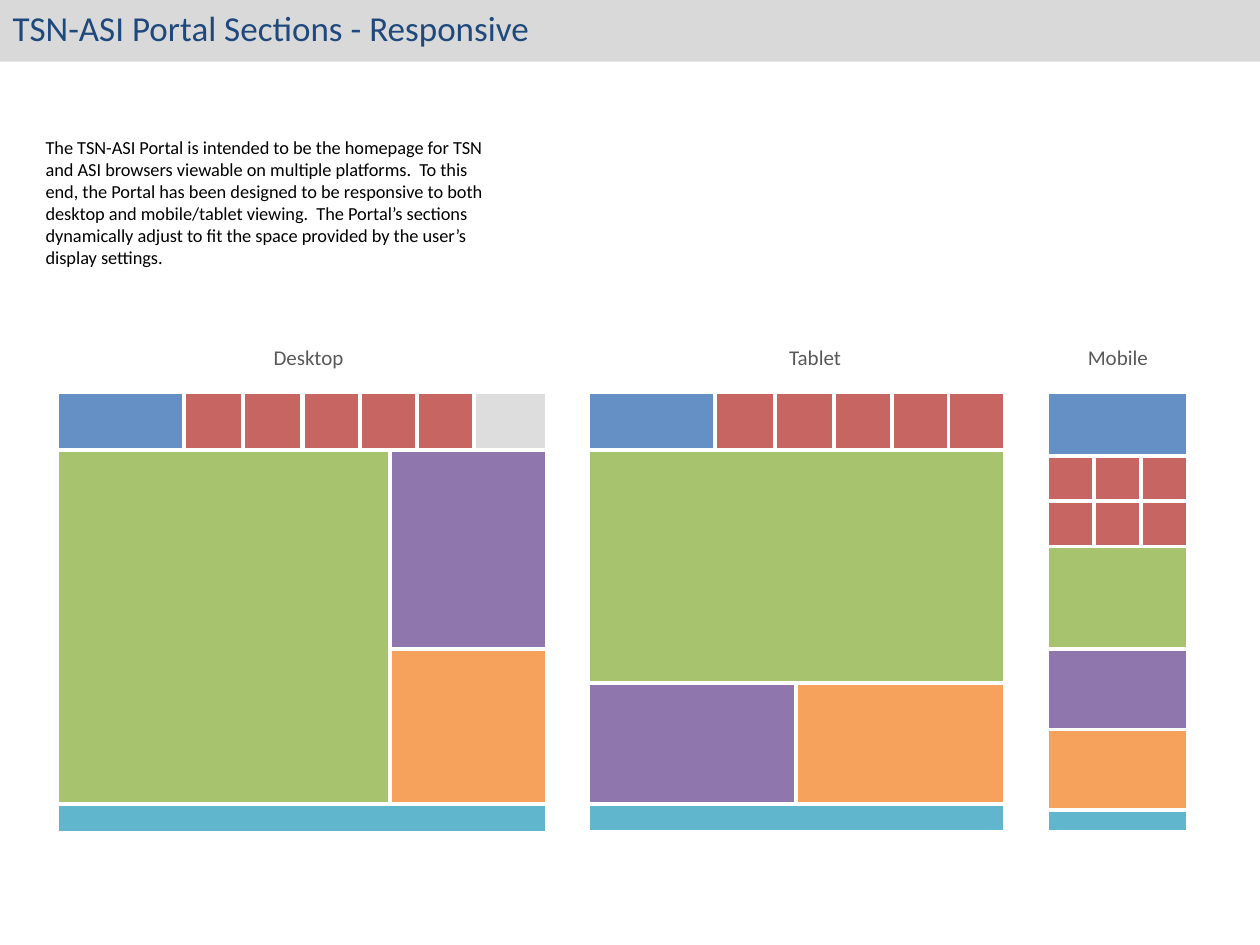
from itertools import accumulate

from lxml import etree
from pptx import Presentation
from pptx.dml.color import RGBColor
from pptx.enum import shapes, text
from pptx.oxml.ns import qn
from pptx.util import Pt

THEME = {
    "font": "Calibri",
    "sizes": {"title": 20, "label": 12, "body": 10.5},
    "text": {"title": "1F497D", "label": "595959", "body": "000000"},
    "fills": {"brand": "4F81BD", "tile": "C0504D", "main": "9BBB59", "side": "8064A2",
              "extra": "F79646", "footer": "4BACC6", "spare": "D9D9D9"},
    "band": "D9D9D9",
    "border": "FFFFFF",
    "border_width": 2.25,
    "opacity": 88,
}

TITLE = "TSN-ASI Portal Sections - Responsive"
INTRO = ("The TSN-ASI Portal is intended to be the homepage for TSN and ASI browsers viewable "
         "on multiple platforms.  To this end, the Portal has been designed to be responsive "
         "to both desktop and mobile/tablet viewing.  The Portal’s sections dynamically adjust "
         "to fit the space provided by the user’s display settings.")

# All lengths are points; section boxes are (role, left, top, width, height) within a device.
TOP = 224
LABEL_TOP, LABEL_WIDTH, LABEL_HEIGHT = 193.3, 75, 21.8
BRAND_WIDTH, HEADER_HEIGHT = 72.8, 33
TILE_WIDTHS = (33.9, 33.8, 33, 32.5, 32.3)
MOBILE_WIDTH, MOBILE_BRAND, MOBILE_TILE = 80.6, 36.5, 25.9

tile_edges = list(accumulate(TILE_WIDTHS, initial=BRAND_WIDTH))
header = [("brand", 0, 0, BRAND_WIDTH, HEADER_HEIGHT)] + [
    ("tile", left, 0, width, HEADER_HEIGHT) for left, width in zip(tile_edges, TILE_WIDTHS)]
header_width = tile_edges[-1]

mobile_tiles = [
    ("tile", column * MOBILE_WIDTH / 3, MOBILE_BRAND + row * MOBILE_TILE,
     MOBILE_WIDTH / 3, MOBILE_TILE)
    for row in range(2) for column in range(3)]
mobile_stack = [("main", 58.3), ("side", 46.3), ("extra", 46.2), ("footer", 12.2)]
mobile_tops = accumulate((height for _, height in mobile_stack),
                         initial=MOBILE_BRAND + 2 * MOBILE_TILE)

# Each device: name, left, label left, sections
DEVICES = [
    ("Desktop", 32.4, 138.8, header + [
        ("spare", header_width, 0, 41.8, HEADER_HEIGHT),
        ("main", 0, 33, 190.4, 202.4),
        ("side", 190.4, 33, 89.7, 114),
        ("extra", 190.4, 147, 89.7, 88.4),
        ("footer", 0, 235.4, 280.1, 16.6),
    ]),
    ("Tablet", 336, 428.3, header + [
        ("main", 0, 33, header_width, 133.5),
        ("side", 0, 166.5, header_width / 2, 68.9),
        ("extra", header_width / 2, 166.5, header_width / 2, 68.9),
        ("footer", 0, 235.4, header_width, 15.8),
    ]),
    ("Mobile", 598.3, 601.3, [
        ("brand", 0, 0, MOBILE_WIDTH, MOBILE_BRAND)] + mobile_tiles + [
        (role, 0, top, MOBILE_WIDTH, height)
        for (role, height), top in zip(mobile_stack, mobile_tops)]),
]


def add_rectangle(slide, box, color):
    shape = slide.shapes.add_shape(shapes.MSO_SHAPE.RECTANGLE, *map(Pt, box))
    shape.shadow.inherit = False
    shape.fill.solid()
    shape.fill.fore_color.rgb = RGBColor.from_string(color)
    shape.line.fill.background()
    return shape


def add_section(slide, box, role):
    """Add one translucent, white-bordered portal section."""
    shape = add_rectangle(slide, box, THEME["fills"][role])
    shape.line.color.rgb = RGBColor.from_string(THEME["border"])
    shape.line.width = Pt(THEME["border_width"])
    color = shape.element.spPr.find(qn("a:solidFill"))[0]
    etree.SubElement(color, qn("a:alpha")).set("val", str(THEME["opacity"] * 1000))


def write(shape, box, words, style, align=text.PP_ALIGN.LEFT, wrap=True):
    for name, value in zip(("left", "top", "width", "height"), box):
        setattr(shape, name, Pt(value))
    frame = shape.text_frame
    frame.text = words
    frame_format = {"word_wrap": wrap, "vertical_anchor": text.MSO_ANCHOR.TOP,
                    "auto_size": text.MSO_AUTO_SIZE.SHAPE_TO_FIT_TEXT}
    for name, value in frame_format.items():
        setattr(frame, name, value)
    paragraph = frame.paragraphs[0]
    paragraph.alignment = align
    font = paragraph.runs[0].font
    for name, value in {"name": THEME["font"], "size": Pt(THEME["sizes"][style])}.items():
        setattr(font, name, value)
    font.color.rgb = RGBColor.from_string(THEME["text"][style])


def add_text(slide, box, *args, **kwargs):
    write(slide.shapes.add_textbox(*map(Pt, box)), box, *args, **kwargs)


def main():
    presentation = Presentation()
    presentation.slide_width, presentation.slide_height = Pt(720), Pt(540)
    slide = presentation.slides.add_slide(presentation.slide_layouts[5])

    title = slide.shapes.title
    write(title, (0, 0, 313.2, 31.5), TITLE, "title", wrap=False)
    band = add_rectangle(slide, (0, 0, 720, 35.3), THEME["band"])
    title.element.addprevious(band.element)  # the band lies behind the title

    add_text(slide, (19, 74.2, 273.6, 83.5), INTRO, "body")

    for name, left, label_left, sections in DEVICES:
        add_text(slide, (label_left, LABEL_TOP, LABEL_WIDTH, LABEL_HEIGHT),
                 name, "label", align=text.PP_ALIGN.CENTER)
        for role, x, y, width, height in sections:
            add_section(slide, (left + x, TOP + y, width, height), role)

    presentation.save("out.pptx")


if __name__ == "__main__":
    main()
